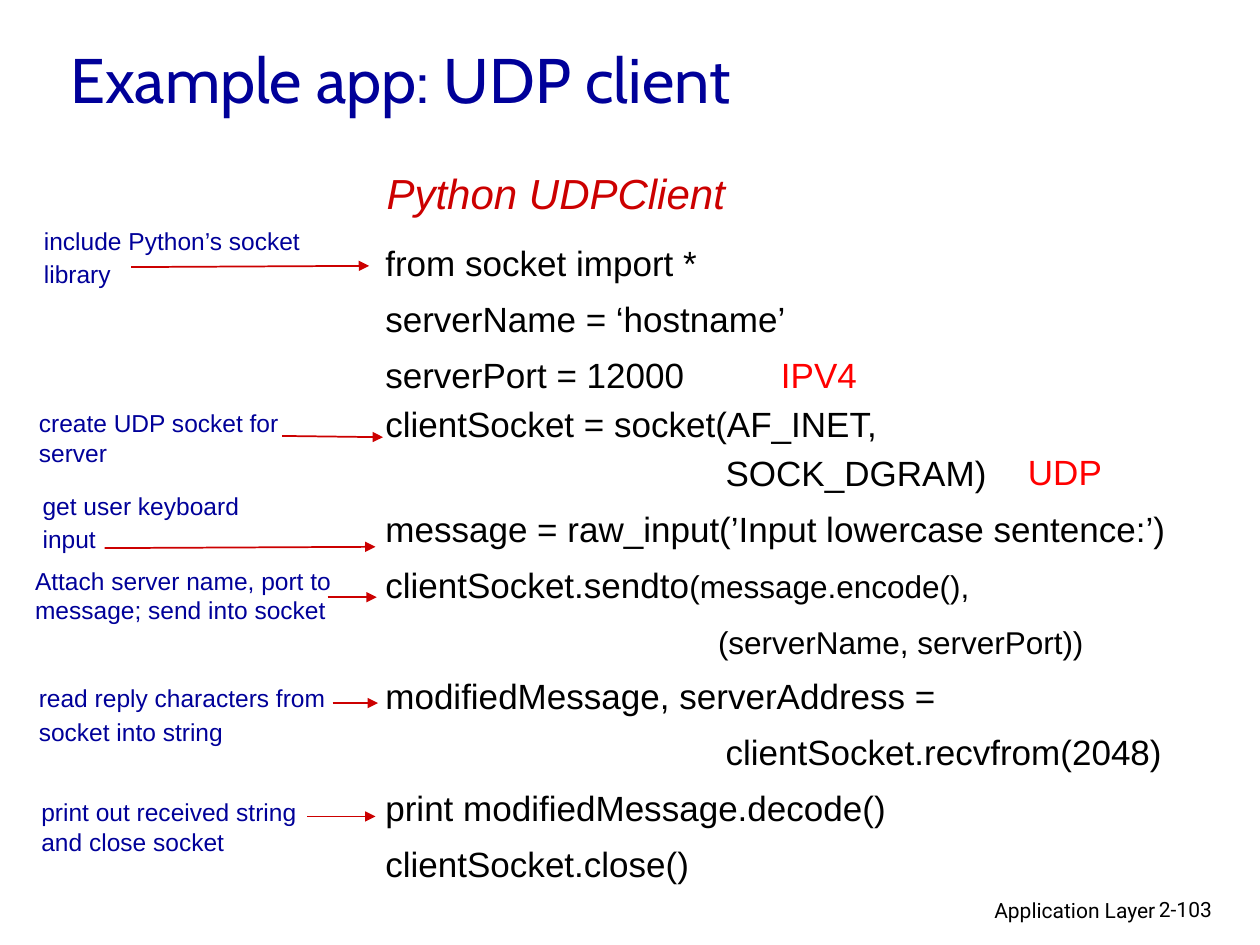
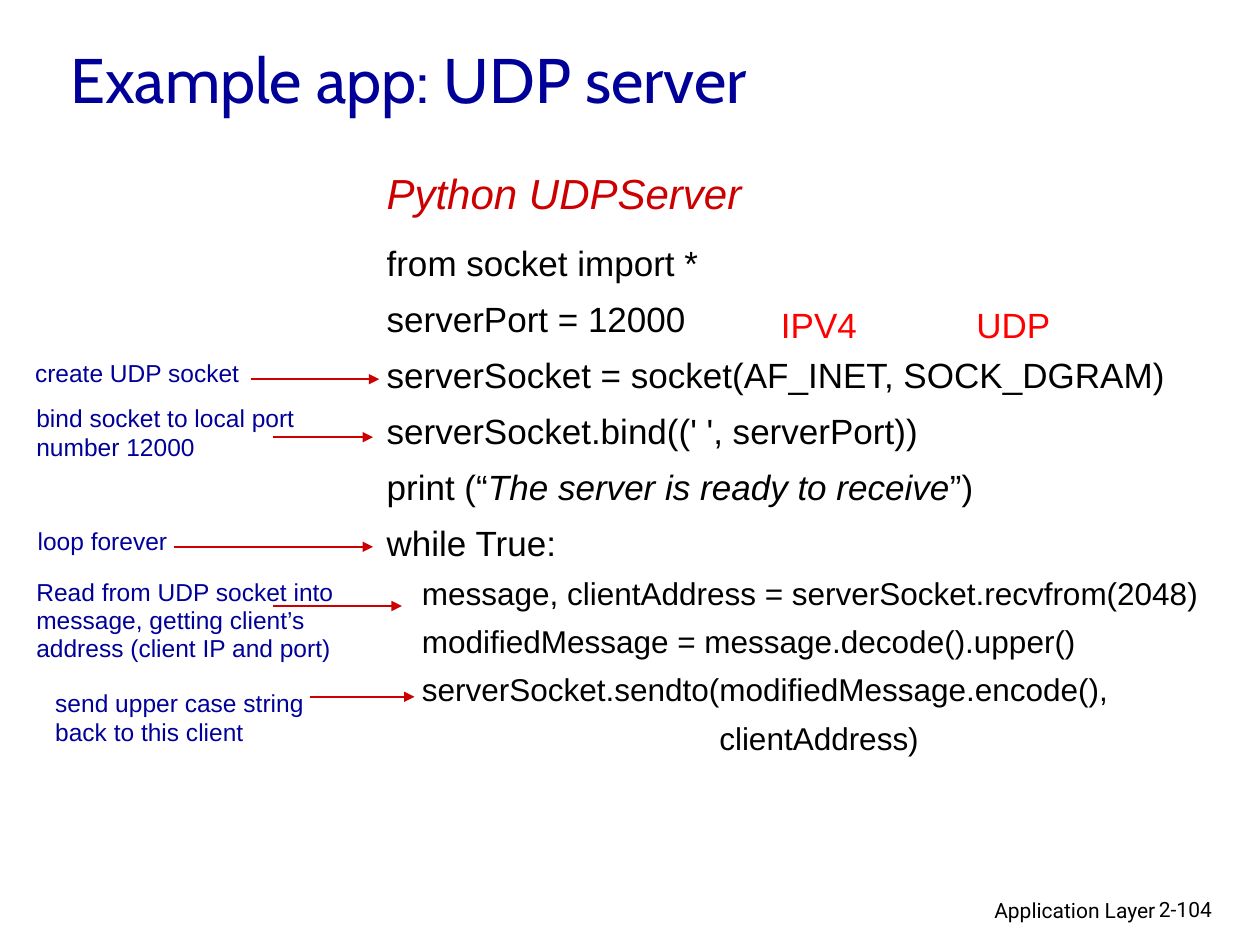
import pptx
import pptx.dml.color
import pptx.enum.shapes
import pptx.enum.text
import pptx.oxml.ns
import pptx.util
from lxml import etree

PX = 9144  # 100 px to the inch
NAVY, CRIMSON, RED, BLACK = "000099", "CC0000", "FF0000", "000000"
LOOSE, TIGHT, NOTE_LEADING = 28, 24, 16
LOOP_INDENT, CALL_INDENT, SMALL_CALL_INDENT = 28, 270, 264


def color(hex_code):
    return pptx.dml.color.RGBColor.from_string(hex_code)


def apply_format(target, values):
    for name, value in values.items():
        setattr(target, name, value)


def line(*spans, leading=LOOSE, indent=0, size=20):
    """Describe one code line; a span is text or (text, font changes)."""
    spans = [span if isinstance(span, tuple) else (span, {}) for span in spans]
    return {"spans": spans, "leading": leading, "indent": indent, "size": size}


class SlideWriter:
    """Holds the shared style and the slide being filled."""

    def __init__(self):
        self.deck = pptx.Presentation()
        self.deck.slide_width, self.deck.slide_height = 1000 * PX, 750 * PX
        self.page = None

    def start_page(self, title, number, heading, code, code_box):
        self.page = self.deck.slides.add_slide(self.deck.slide_layouts[6])
        self.label("Application Layer", (610, 707, 317, 31), 12, BLACK, "Roboto",
                   gap=0, align=pptx.enum.text.PP_ALIGN.RIGHT)
        self.label(number, (910, 707, 74, 30), 12, BLACK, "Roboto", gap=0)
        self.label(title, (46, 10, 850, 104), 36, NAVY, "Cabin", gap=0,
                   anchor=pptx.enum.text.MSO_ANCHOR.MIDDLE)
        self.text(code, code_box, BLACK)
        self.label(heading, (297, 128, 313, 51), 24, CRIMSON, italic=True)

    def text(self, lines, box, ink, font="Arial", gap=0.2, align=None, anchor=None):
        """Add a text box; gap is the space before a line as a share of its size."""
        frame = self.page.shapes.add_textbox(*(length * PX for length in box)).text_frame
        apply_format(frame, {"word_wrap": True, "vertical_anchor": anchor})
        for index, row in enumerate(lines):
            para = frame.paragraphs[0] if index == 0 else frame.add_paragraph()
            leading = row["leading"]
            apply_format(para, {
                "alignment": align,
                "space_before": pptx.util.Pt(gap * row["size"]),
                "line_spacing": pptx.util.Pt(leading) if leading else None,
            })
            if row["indent"]:
                properties = para._p.get_or_add_pPr()
                properties.set("marL", str(row["indent"] * PX))
                properties.set("indent", "0")
            for words, changes in row["spans"]:
                span = para.add_run()
                span.text = words
                apply_format(span.font, {"name": font, "size": pptx.util.Pt(row["size"]),
                                         **changes})
                span.font.color.rgb = color(ink)

    def label(self, words, box, size, ink, font="Arial", italic=None, leading=None, **layout):
        rows = [line((part, {"italic": italic}), leading=leading, size=size)
                for part in words.split("\n")]
        self.text(rows, box, ink, font, **layout)

    def arrow(self, x1, y1, x2, y2):
        link = self.page.shapes.add_connector(
            pptx.enum.shapes.MSO_CONNECTOR.STRAIGHT, *(n * PX for n in (x1, y1, x2, y2)))
        link.line.color.rgb = color(CRIMSON)
        link.line.width = pptx.util.Pt(1)
        qn = pptx.oxml.ns.qn
        etree.SubElement(link.line._get_or_add_ln(), qn("a:tailEnd"), type="triangle")
        etree.SubElement(link._element.spPr, qn("a:effectLst"))

    def note(self, words, box, arrow, leading=None):
        """Explain a code line and point at it."""
        self.label(words, box, 14, NAVY, leading=leading)
        self.arrow(*arrow)

    def tag(self, words, x, y):
        self.label(words, (x, y, 106, 44), 20, RED)


CLIENT_CODE = [
    line("from socket import *"),
    line("serverName = ‘hostname’"),
    line("serverPort = 12000"),
    line("clientSocket = socket(AF_INET,", leading=TIGHT),
    line("SOCK_DGRAM)", leading=TIGHT, indent=CALL_INDENT),
    line("message = raw_input(’Input lowercase sentence:’)"),
    line("clientSocket.sendto", ("(message.encode(),", {"size": pptx.util.Pt(18)})),
    line("(serverName, serverPort))", indent=SMALL_CALL_INDENT, size=18),
    line("modifiedMessage, serverAddress ="),
    line("clientSocket.recvfrom(2048)", indent=CALL_INDENT),
    line("print modifiedMessage.decode()"),
    line("clientSocket.close()"),
]
CLIENT_NOTES = [
    ("include Python’s socket\nlibrary", (25, 176, 225, 60), (104, 212, 293, 211), NOTE_LEADING),
    ("create UDP socket for server", (21, 319, 248, 57), (224, 346, 304, 347)),
    ("get user keyboard\ninput", (24, 386, 177, 60), (83, 435, 298, 434), NOTE_LEADING),
    ("Attach server name, port to message; send into socket", (18, 444, 257, 57),
     (260, 474, 299, 474)),
    ("print out received string and close socket", (23, 628, 257, 57), (244, 648, 298, 648)),
    ("read reply characters from\nsocket into string", (21, 537, 257, 62), (264, 558, 300, 558)),
]
SERVER_CODE = [
    line("from socket import *"),
    line("serverPort = 12000"),
    line("serverSocket = socket(AF_INET, SOCK_DGRAM)"),
    line("serverSocket.bind((' ', serverPort))"),
    line("print (“", ("The server is ready to receive", {"italic": True}), "”)"),
    line("while True:"),
    *(line(words, leading=TIGHT, indent=indent, size=18) for words, indent in [
        ("message, clientAddress = serverSocket.recvfrom(2048)", LOOP_INDENT),
        ("modifiedMessage = message.decode().upper()", LOOP_INDENT),
        ("serverSocket.sendto(modifiedMessage.encode(),", LOOP_INDENT),
        ("clientAddress)", SMALL_CALL_INDENT),
    ]),
]
SERVER_NOTES = [
    ("create UDP socket", (18, 279, 280, 34), (199, 301, 301, 301)),
    ("bind socket to local port number 12000", (19, 315, 248, 57), (217, 347, 296, 347)),
    ("loop forever", (20, 414, 131, 33), (138, 434, 296, 434), NOTE_LEADING),
    ("Read from UDP socket into message, getting client’s address (client IP and port)",
     (19, 454, 257, 77), (217, 481, 319, 481), NOTE_LEADING),
    ("send upper case string back to this client", (34, 541, 257, 57), (246, 553, 329, 553)),
]
PAGES = [
    ("Example app: UDP client", "2-103", "Python UDPClient", CLIENT_CODE, (296, 181, 645, 543),
     CLIENT_NOTES, [("IPV4", 610, 276), ("UDP", 806, 353)]),
    ("Example app: UDP server", "2-104", "Python UDPServer", SERVER_CODE, (297, 181, 675, 438),
     SERVER_NOTES, [("IPV4", 610, 236), ("UDP", 765, 236)]),
]


def main():
    writer = SlideWriter()
    for *opening, notes, tags in PAGES:
        writer.start_page(*opening)
        for note in notes:
            writer.note(*note)
        for tag in tags:
            writer.tag(*tag)
    writer.deck.save("out.pptx")


if __name__ == "__main__":
    main()
